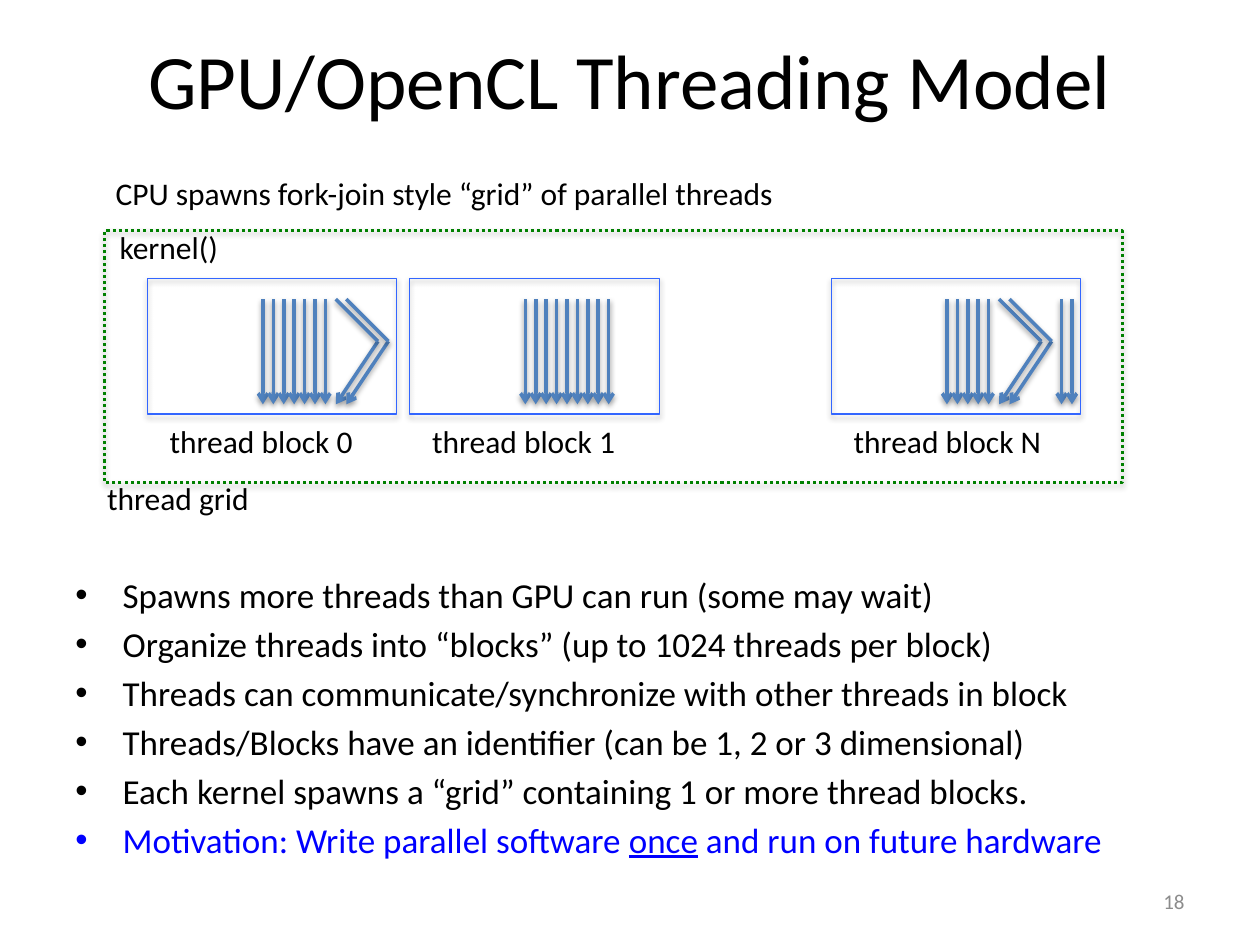
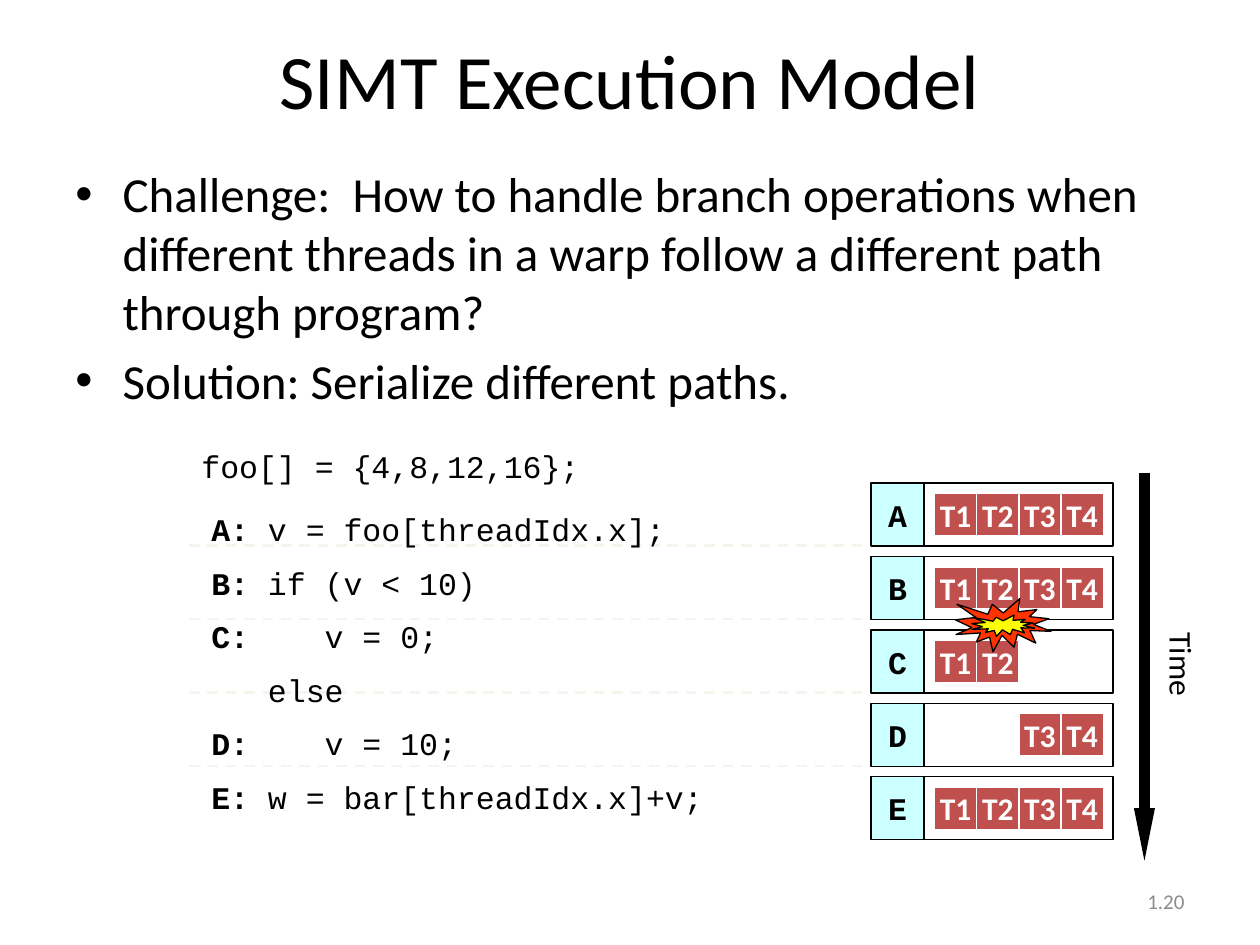
from dataclasses import dataclass

from lxml.etree import SubElement
from pptx import Presentation
from pptx.dml.color import RGBColor
from pptx.enum.dml import MSO_LINE_DASH_STYLE as DASH
from pptx.enum.shapes import MSO_CONNECTOR, MSO_SHAPE
from pptx.enum.text import MSO_ANCHOR as ANCHOR, PP_ALIGN as ALIGN
from pptx.oxml.ns import qn
from pptx.util import Cm, Pt


@dataclass(frozen=True)
class Theme:
    """Fonts, type sizes and colours used on every slide."""
    sans: str = "Calibri"
    mono: str = "Courier New"
    title: int = 44
    large: int = 28
    body: int = 20
    label: int = 18
    footer: int = 12
    ink: str = "000000"
    white: str = "FFFFFF"
    muted: str = "8C8C8C"
    accent: str = "0000FF"
    thread: str = "4F81BD"
    block: str = "3366FF"
    grid: str = "008000"
    divider: str = "F5F4ED"
    tag: str = "CCFFFF"
    lane: str = "C0504D"
    blast: str = "FF3300"
    spark: str = "FFFF00"


T = Theme()

GRID_POINTS = [
    ["Spawns more threads than GPU can run (some may wait)"],
    ["Organize threads into “blocks” (up to 1024 threads per block)"],
    ["Threads can communicate/synchronize with other threads in block"],
    ["Threads/Blocks have an identifier (can be 1, 2 or 3 dimensional)"],
    ["Each kernel spawns a “grid” containing 1 or more thread blocks."],
    ["Motivation: Write parallel software ", "once", " and run on future hardware"],
]
SIMT_POINTS = [
    ["Challenge:  How to handle branch operations when different threads "
     "in a warp follow a different path through program?"],
    ["Solution: Serialize different paths."],
]
THREAD_BLOCKS = [
    ("thread block 0", 0.86, "|||||||>>"),
    ("thread block 1", 6.15, "|||||||||"),
    ("thread block N", 14.65, "|||||>>    ||"),
]
CODE = [
    ["A: ", "v = foo[threadIdx.x];"],
    ["B: ", "if (v < 10)"],
    ["C:    ", "v = 0;"],
    ["   ", "else"],
    ["D:    ", "v = 10;"],
    ["E: ", "w = bar[threadIdx.x]+v;"],
]
ACTIVE_LANES = {"A": (1, 2, 3, 4), "B": (1, 2, 3, 4), "C": (1, 2),
                "D": (3, 4), "E": (1, 2, 3, 4)}
ROW_PITCH = 1.48


def style_run(r, size, color=T.ink, font=T.sans, bold=False):
    """Format one run."""
    r.font.size, r.font.name, r.font.bold = Pt(size), font, bold
    r.font.color.rgb = RGBColor.from_string(color)


def fill_text(tf, paragraphs, size, gap=0, align=None, **style):
    """Write paragraphs, each a list of run texts, with a gap between them."""
    for i, texts in enumerate(paragraphs):
        p = tf.add_paragraph() if i else tf.paragraphs[0]
        p.text = texts[0]
        for text in texts[1:]:
            p.add_run().text = text
        if align is not None:
            p.alignment = align
        if i and gap:
            p.space_before = Pt(gap)
        for r in p.runs:
            style_run(r, size, **style)


def add_text(slide, box, paragraphs, size, wrap=True, anchor=ANCHOR.TOP, **style):
    """Add a text box and return its text frame."""
    tf = slide.shapes.add_textbox(*map(Cm, box)).text_frame
    tf.word_wrap, tf.vertical_anchor = wrap, anchor
    fill_text(tf, paragraphs, size, **style)
    return tf


def add_label(slide, x, y, w, text, font=T.sans):
    """Add a single unwrapped line of text."""
    add_text(slide, (x, y, w, 1.02), [[text]], T.label, wrap=False, font=font)


def set_effects(s, alpha=None, distance=20000):
    """Replace the inherited effects by none, or by a soft shadow below."""
    sp_pr = s._element.spPr
    effects = sp_pr.find(qn("a:effectLst"))
    if effects is None:
        effects = SubElement(sp_pr, qn("a:effectLst"))
    if alpha:
        shadow = SubElement(effects, qn("a:outerShdw"), blurRad="40000",
                            dist=str(distance), dir="5400000", rotWithShape="0")
        color = SubElement(shadow, qn("a:srgbClr"), val=T.ink)
        SubElement(color, qn("a:alpha"), val=str(alpha * 1000))


def set_line(line, color, width, dash=None):
    """Set the colour, width and dash of a line."""
    line.color.rgb, line.width = RGBColor.from_string(color), Pt(width)
    if dash is not None:
        line.dash_style = dash


def add_line(slide, start, end, color, width, head=None, dash=None, shadow=None):
    """Add a straight line, with an arrowhead if its attributes are given."""
    s = slide.shapes.add_connector(MSO_CONNECTOR.STRAIGHT, *map(Cm, (*start, *end)))
    set_line(s.line, color, width, dash)
    if head:
        SubElement(s.line._get_or_add_ln(), qn("a:tailEnd"), head)
    set_effects(s, shadow)


def add_box(slide, box, fill=None, line=T.ink, width=0.75, dash=None,
            kind=MSO_SHAPE.RECTANGLE):
    """Add a preset shape without shadow."""
    s = slide.shapes.add_shape(kind, *map(Cm, box))
    s.shadow.inherit = False
    if fill:
        s.fill.solid()
        s.fill.fore_color.rgb = RGBColor.from_string(fill)
    else:
        s.fill.background()
    set_line(s.line, line, width, dash)
    return s


def add_cell(slide, box, text, fill, line, **style):
    """Add a filled rectangle with a bold centred caption."""
    tf = add_box(slide, box, fill, line).text_frame
    tf.word_wrap, tf.vertical_anchor = False, ANCHOR.MIDDLE
    fill_text(tf, [[text]], T.label, align=ALIGN.CENTER, bold=True, **style)


def add_bullets(slide, box, points, size, gap):
    """Add a bulleted list and return its text frame."""
    tf = add_text(slide, box, points, size, gap=gap)
    for p in tf.paragraphs:
        p_pr = p._p.get_or_add_pPr()
        p_pr.set("marL", str(Pt(27)))
        p_pr.set("indent", str(-Pt(27)))
        SubElement(p_pr, qn("a:buFont"), typeface="Arial")
        SubElement(p_pr, qn("a:buChar"), char="•")
    return tf


def new_slide(prs, title, number):
    """Add a blank slide with its title and number."""
    slide = prs.slides.add_slide(prs.slide_layouts[6])
    add_text(slide, (1.27, 0, 22.86, 3.18), [[title]], T.title,
             anchor=ANCHOR.MIDDLE, align=ALIGN.CENTER)
    add_text(slide, (18.21, 17.65, 5.92, 1.02), [[number]], T.footer,
             anchor=ANCHOR.MIDDLE, align=ALIGN.RIGHT, color=T.muted)
    return slide


def draw_threads(slide, x, y, pattern):
    """Draw one thread per mark: straight for a bar, diverging for a chevron."""
    pitch, height, bend = 0.21, 2.12, 0.85
    look = {"color": T.thread, "width": 2, "shadow": 38}
    head = {"type": "arrow"}
    for i, mark in enumerate(pattern):
        top, foot = (x + i * pitch, y), (x + i * pitch, y + height)
        if mark == "|":
            add_line(slide, top, foot, head=head, **look)
        elif mark == ">":
            peak = (top[0] + bend, y + bend)
            add_line(slide, peak, foot, head=head, **look)
            add_line(slide, top, peak, **look)


def draw_thread_block(slide, x, y, name, pattern):
    """Draw a thread block with its threads and name."""
    draw_threads(slide, x + 2.33, y + 0.42, pattern)
    s = add_box(slide, (x, y, 5.03, 2.74), line=T.block)
    set_effects(s, 35, 23000)
    add_label(slide, x + 0.2, y + 2.77, 4.35, name)


def draw_thread_grid(slide, x, y, w, h):
    """Draw the dotted grid, its captions and its thread blocks."""
    for name, dx, pattern in THREAD_BLOCKS:
        draw_thread_block(slide, x + dx, y + 0.96, name, pattern)
    s = add_box(slide, (x, y, w, h), line=T.grid, width=1.75, dash=DASH.ROUND_DOT)
    set_effects(s, 35, 23000)
    add_label(slide, x + 0.05, y - 0.18, 2.51, "kernel()")
    add_label(slide, x - 0.03, y - 1.27, 14.27,
              "CPU spawns fork-join style “grid” of parallel threads")
    add_label(slide, x - 0.2, y + 4.88, 3.4, "thread grid")


def draw_dividers(slide, x, y, w):
    """Draw the dashed lines between the warp rows."""
    for i in range(len(ACTIVE_LANES) - 1):
        row_y = y + i * ROW_PITCH
        add_line(slide, (x, row_y), (x + w, row_y), T.divider, 1.5, dash=DASH.DASH)


def draw_code(slide, x, y):
    """Draw the listing below its array declaration."""
    add_label(slide, x, y, 8.18, "foo[] = {4,8,12,16};", T.mono)
    tf = add_text(slide, (x + 0.2, y + 1.27, 11.23, 6.81), CODE, T.label,
                  gap=9, font=T.mono)
    for p in tf.paragraphs:
        p.runs[0].font.bold = True


def draw_warp(slide, x, y):
    """Draw a row of active lanes per step and the divergence burst."""
    tag_w, row_h, lane = 1.07, 1.27, 0.85
    for i, (step, lanes) in enumerate(ACTIVE_LANES.items()):
        row_y = y + i * ROW_PITCH
        add_box(slide, (x + tag_w, row_y, 3.81, row_h))
        add_cell(slide, (x, row_y, tag_w, row_h), step, T.tag, T.ink, font=T.mono)
        for n in lanes:
            box = (x + 1.28 + (n - 1) * lane, row_y + 0.21, lane, lane)
            add_cell(slide, box, f"T{n}", T.lane, T.white, color=T.white)
    burst = MSO_SHAPE.EXPLOSION1
    add_box(slide, (x + 1.7, y + 2.33, 1.93, 1.07), T.blast, kind=burst)
    add_box(slide, (x + 2.03, y + 2.66, 1.27, 0.43), T.spark, kind=burst)


def draw_time_axis(slide, x, y, h):
    """Draw the downward time arrow and its rotated caption."""
    head = {"type": "triangle", "w": "sm", "len": "lg"}
    add_line(slide, (x, y), (x, y + h), T.ink, 6, head=head)
    tf = add_text(slide, (x, y + 2.97, 1.27, 1.68), [["Time"]], T.label, wrap=False)
    tf._txBody.bodyPr.set("vert", "eaVert")


def build_threading_slide(prs):
    """Build the threading model slide."""
    slide = new_slide(prs, "GPU/OpenCL Threading Model", "18")
    tf = add_bullets(slide, (1.27, 11.43, 22.86, 5.59), GRID_POINTS, T.body, 4)
    motivation = tf.paragraphs[-1].runs
    for r in motivation:
        r.font.color.rgb = RGBColor.from_string(T.accent)
    motivation[1].font.underline = True
    draw_thread_grid(slide, 2.11, 4.65, 20.52, 5.08)


def build_simt_slide(prs):
    """Build the SIMT execution slide."""
    slide = new_slide(prs, "SIMT Execution Model", "1.20")
    draw_dividers(slide, 3.81, 11, 14.4)
    add_bullets(slide, (1.27, 3.18, 22.86, 5.08), SIMT_POINTS, T.large, 5.6)
    draw_code(slide, 3.81, 8.89)
    draw_time_axis(slide, 23.07, 9.53, 7.82)
    draw_warp(slide, 17.56, 9.74)


def main():
    """Build and save the presentation."""
    prs = Presentation()
    prs.slide_width, prs.slide_height = Cm(25.4), Cm(19.05)
    build_threading_slide(prs)
    build_simt_slide(prs)
    prs.save("out.pptx")


if __name__ == "__main__":
    main()
